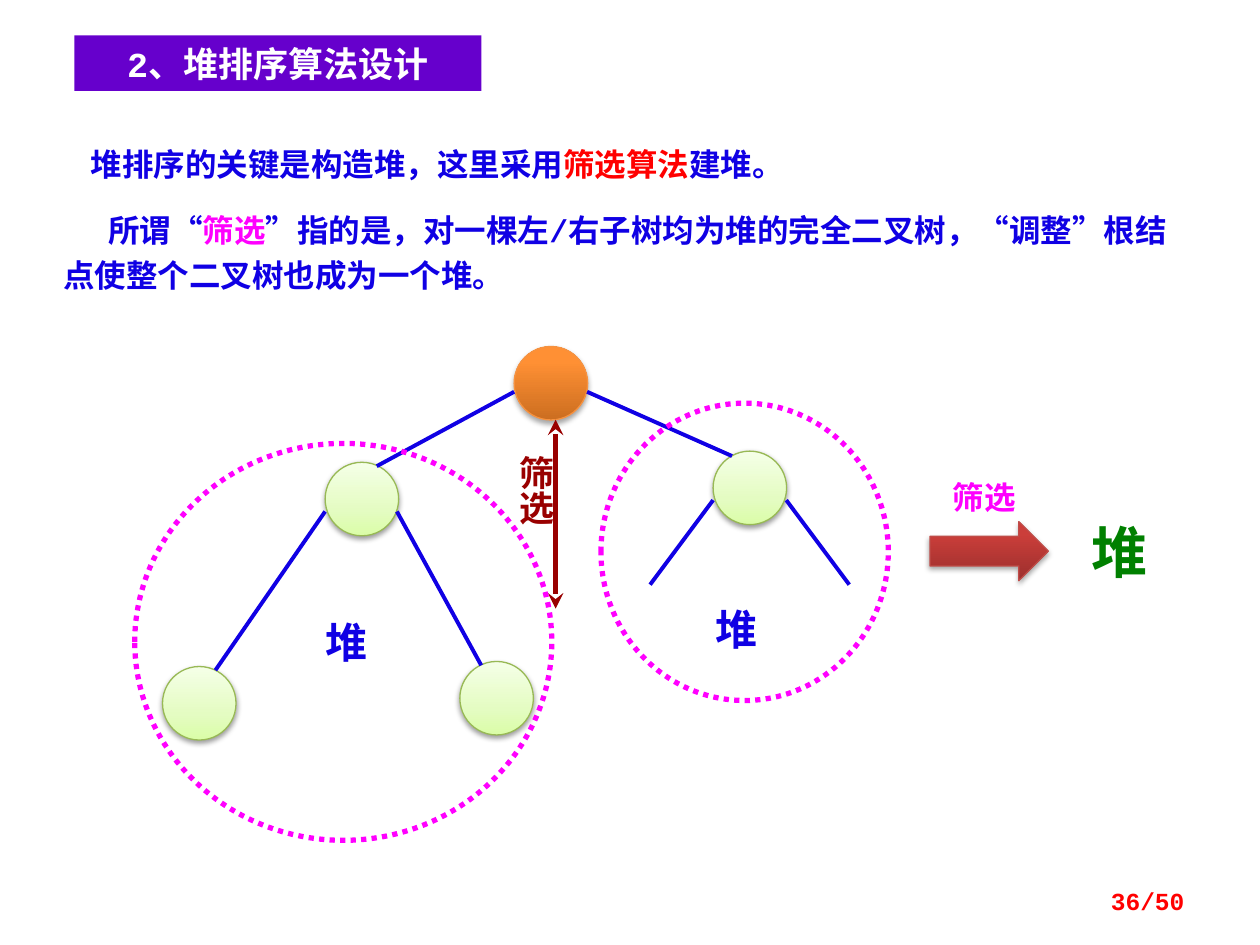
import copy
from typing import NamedTuple

import lxml.etree
import pptx
import pptx.dml.color
import pptx.enum.dml
import pptx.enum.lang
import pptx.enum.shapes
import pptx.enum.text
import pptx.oxml
import pptx.oxml.ns
import pptx.util

Pt = pptx.util.Pt
RGBColor = pptx.dml.color.RGBColor
Shapes = pptx.enum.shapes.MSO_SHAPE
Align = pptx.enum.text.PP_ALIGN
Anchor = pptx.enum.text.MSO_ANCHOR
qn = pptx.oxml.ns.qn

WHITE = RGBColor(0xFF, 0xFF, 0xFF)
BLUE = RGBColor(0x10, 0x00, 0xE4)
RED = RGBColor(0xFF, 0x00, 0x00)
MAGENTA = RGBColor(0xFF, 0x00, 0xFF)
MAROON = RGBColor(0x99, 0x00, 0x00)
GREEN = RGBColor(0x00, 0x80, 0x00)
PURPLE = RGBColor(0x66, 0x00, 0xCC)

MONO = "Courier New"
CHINESE = "Noto Sans CJK SC"
JAPANESE = "Noto Sans CJK JP"
NODE_SIZE = 42


class Box(NamedTuple):
    left: float
    top: float
    width: float
    height: float


class Run(NamedTuple):
    text: str
    size: float
    color: RGBColor
    font: str = MONO
    east_asian: str = CHINESE


class Label(NamedTuple):
    box: Box
    run: Run
    align: Align = Align.CENTER
    vertical: bool = False


class Line(NamedTuple):
    start: tuple[float, float]
    end: tuple[float, float]
    color: RGBColor = BLUE
    width: float = 2.25
    double_arrow: bool = False


class Gloss(NamedTuple):
    stops: tuple[tuple[float, RGBColor], ...]
    outline: RGBColor
    shadow_alpha: int
    shadow_distance: float


ORANGE_GLOSS = Gloss(
    ((0, RGBColor(0xCC, 0x6E, 0x20)), (0.8, RGBColor(0xFF, 0x90, 0x34)), (1, RGBColor(0xFF, 0x91, 0x36))),
    RGBColor(0xF6, 0x92, 0x40), 35, 1.8)
GREEN_GLOSS = Gloss(
    ((0, RGBColor(0xDA, 0xFD, 0xA7)), (0.35, RGBColor(0xE4, 0xFC, 0xC2)), (1, RGBColor(0xF5, 0xFF, 0xE7))),
    RGBColor(0x98, 0xB9, 0x55), 38, 1.6)
RED_GLOSS = Gloss(
    ((0, RGBColor(0x9C, 0x2F, 0x2D)), (0.8, RGBColor(0xCB, 0x3E, 0x3A)), (1, RGBColor(0xCE, 0x3B, 0x37))),
    RGBColor(0xBF, 0x4C, 0x48), 35, 1.8)

NODES = [
    ((293.8, 198), ORANGE_GLOSS),
    ((185.8, 264.2), GREEN_GLOSS),
    ((407.5, 257.8), GREEN_GLOSS),
    ((92.9, 380.9), GREEN_GLOSS),
    ((262.8, 378), GREEN_GLOSS),
]
LINES = [
    Line((293.8, 223.9), (215.3, 266.4)),
    Line((335.5, 223.9), (418.3, 260.6)),
    Line((185.8, 292.3), (123.1, 383)),
    Line((226.8, 292.3), (275, 380.2)),
    Line((407.5, 285.8), (371.5, 334.1)),
    Line((449.3, 285.8), (485.3, 334.1)),
    Line((317.5, 239.8), (317.5, 347.8), MAROON, 3, True),
]
SUBTREES = [Box(77, 253.4, 238.3, 226.8), Box(343.4, 230.4, 164.2, 169.9)]
LABELS = [
    Label(Box(178.5, 348.5, 39, 36), Run("堆", 24, BLUE)),
    Label(Box(401.5, 341.3, 39, 36), Run("堆", 24, BLUE)),
    Label(Box(286.5, 253.4, 39, 63.4), Run("筛选", 20, MAROON), Align.LEFT, True),
    Label(Box(616, 292.3, 47, 45.4), Run("堆", 32, GREEN)),
    Label(Box(528.5, 269.3, 67.7, 28.8), Run("筛选", 18, MAGENTA, CHINESE)),
    Label(Box(516.2, 500.4, 167.8, 28.8), Run("36/50", 14, RED), Align.RIGHT),
]
BODY = [
    (16, [Run("堆排序的关键是构造堆，这里采用", 18, BLUE), Run("筛选算法", 18, RED), Run("建堆。", 18, BLUE)]),
    (26, [Run("所谓“", 18, BLUE), Run("筛选", 18, MAGENTA, JAPANESE, JAPANESE),
          Run("”指的是，对一棵左/右子树均为堆的完全二叉树，“调整”根结点使整个二叉树也成为一个堆。", 18, BLUE)]),
]


def place(shape, box: Box) -> None:
    shape.left, shape.top, shape.width, shape.height = map(Pt, box)


def add_run(paragraph, content: Run) -> None:
    run = paragraph.add_run()
    run.text = content.text
    font = run.font
    font.size = Pt(content.size)
    font.bold = True
    font.name = content.font
    font.color.rgb = content.color
    font.language_id = pptx.enum.lang.MSO_LANGUAGE_ID.SIMPLIFIED_CHINESE
    east_asian = lxml.etree.Element(qn("a:ea"), typeface=content.east_asian)
    run._r.rPr.find(qn("a:latin")).addnext(east_asian)


def fill_title(title) -> None:
    place(title, Box(42.5, 20.2, 232.6, 31.7))
    title.fill.solid()
    title.fill.fore_color.rgb = PURPLE
    frame = title.text_frame
    frame.auto_size = pptx.enum.text.MSO_AUTO_SIZE.NONE
    frame.vertical_anchor = Anchor.MIDDLE
    frame.paragraphs[0].alignment = Align.CENTER
    add_run(frame.paragraphs[0], Run("2、堆排序算法设计", 20, WHITE))


def fill_body(body) -> None:
    place(body, Box(28.8, 75, 652.3, 98))
    frame = body.text_frame
    frame.auto_size = pptx.enum.text.MSO_AUTO_SIZE.NONE
    for index, (indent, runs) in enumerate(BODY):
        paragraph = frame.add_paragraph() if index else frame.paragraphs[0]
        properties = paragraph._p.get_or_add_pPr()
        properties.set("marL", "0")
        properties.set("indent", str(Pt(indent)))
        lxml.etree.SubElement(properties, qn("a:buNone"))
        paragraph.line_spacing = Pt(25.7)
        paragraph.space_before = Pt(12 if index else 0)
        for run in runs:
            add_run(paragraph, run)


def add_glossy(slide, kind: Shapes, box: Box, gloss: Gloss) -> None:
    shape = slide.shapes.add_shape(kind, *map(Pt, box))
    shape.fill.gradient()
    shape.fill.gradient_angle = 90
    stop_list = shape._element.spPr.find(".//" + qn("a:gsLst"))
    stop_list.append(copy.deepcopy(stop_list[0]))
    for stop, (position, color) in zip(shape.fill.gradient_stops, gloss.stops):
        stop.position = position
        stop.color.rgb = color
    shape.line.color.rgb = gloss.outline
    shape.line.width = Pt(0.75)
    shape._element.spPr.append(pptx.oxml.parse_xml(
        f'<a:effectLst {pptx.oxml.ns.nsdecls("a")}><a:outerShdw blurRad="{Pt(3.1)}" '
        f'dist="{Pt(gloss.shadow_distance)}" dir="5400000" rotWithShape="0"><a:srgbClr val="000000">'
        f'<a:alpha val="{gloss.shadow_alpha * 1000}"/></a:srgbClr></a:outerShdw></a:effectLst>'))


def add_line(slide, line: Line) -> None:
    connector = slide.shapes.add_connector(
        pptx.enum.shapes.MSO_CONNECTOR.STRAIGHT, *map(Pt, line.start + line.end))
    connector.line.color.rgb = line.color
    connector.line.width = Pt(line.width)
    if line.double_arrow:
        for tag in ("a:headEnd", "a:tailEnd"):
            lxml.etree.SubElement(connector.line._get_or_add_ln(), qn(tag), type="stealth")
    lxml.etree.SubElement(connector._element.spPr, qn("a:effectLst"))


def add_subtree(slide, box: Box) -> None:
    ellipse = slide.shapes.add_shape(Shapes.OVAL, *map(Pt, box))
    ellipse.shadow.inherit = False
    ellipse.fill.background()
    ellipse.line.color.rgb = MAGENTA
    ellipse.line.width = Pt(3)
    ellipse.line.dash_style = pptx.enum.dml.MSO_LINE.ROUND_DOT


def add_label(slide, label: Label) -> None:
    frame = slide.shapes.add_textbox(*map(Pt, label.box)).text_frame
    frame.word_wrap = True
    frame.vertical_anchor = Anchor.MIDDLE
    if label.vertical:
        frame._txBody.bodyPr.set("vert", "eaVert")
    frame.paragraphs[0].alignment = label.align
    add_run(frame.paragraphs[0], label.run)


def main() -> None:
    presentation = pptx.Presentation()
    presentation.slide_width, presentation.slide_height = Pt(720), Pt(540)
    slide = presentation.slides.add_slide(presentation.slide_layouts[1])
    fill_title(slide.shapes.title)
    fill_body(slide.placeholders[1])
    for corner, gloss in NODES:
        add_glossy(slide, Shapes.OVAL, Box(*corner, NODE_SIZE, NODE_SIZE), gloss)
    for line in LINES:
        add_line(slide, line)
    for box in SUBTREES:
        add_subtree(slide, box)
    add_glossy(slide, Shapes.RIGHT_ARROW, Box(531.4, 298.1, 67.7, 33.8), RED_GLOSS)
    for label in LABELS:
        add_label(slide, label)
    presentation.save("out.pptx")


if __name__ == "__main__":
    main()
